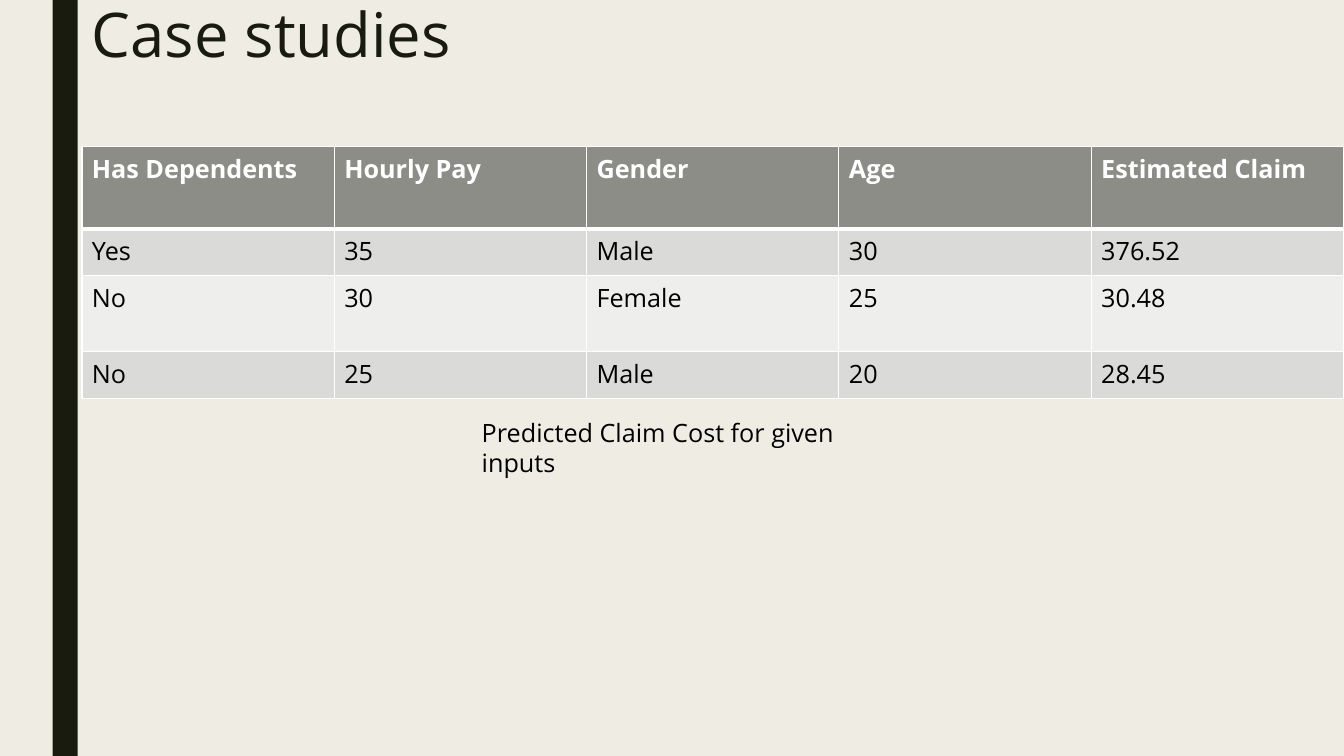
from dataclasses import dataclass

from lxml import etree
from pptx import Presentation
from pptx import util as u
from pptx.dml.color import RGBColor
from pptx.enum import shapes, text
from pptx.oxml import ns

Pt = u.Pt
FONT = "Open Sans"
COLORS = {
    "background": "EFEDE3", "dark": "191B0E", "white": "FFFFFF", "black": "000000",
    "header": "8C8D86", "odd_row": "DADBD9", "even_row": "EEEEED",
}


@dataclass
class Label:
    """A text box, in points."""
    words: str
    left: float
    top: float
    width: float
    height: float
    size: float
    color: str
    spacing: float = 1.0


@dataclass
class Row:
    """A table row with its height in points and its look."""
    values: tuple[str, ...]
    height: float
    fill: str
    color: str = "black"
    bold: bool = False
    top_line: float = 1
    bottom_line: float = 1


LABELS = [
    Label("Case studies", 58.5, 0, 828, 104.5, 44, "dark", 0.89),
    Label("Predicted Claim Cost for given inputs", 337, 294.5, 286, 29, 18, "black"),
]
CLAIMS = [
    Row(("Has Dependents", "Hourly Pay", "Gender", "Age", "Estimated Claim"),
        59, "header", "white", True, bottom_line=3),
    Row(("Yes", "35", "Male", "30", "376.52"), 33.5, "odd_row", top_line=3),
    Row(("No", "30", "Female", "25", "30.48"), 54, "even_row"),
    Row(("No", "25", "Male", "20", "28.45"), 33.5, "odd_row"),
]
TABLE_LEFT, TABLE_TOP, COLUMN_WIDTH = 58.5, 104.5, 180.25


def rgb(name: str) -> RGBColor:
    """Look up a named colour."""
    return RGBColor.from_string(COLORS[name])


def write(tf, words: str, size: float, color: str, bold: bool = False):
    """Put one styled paragraph in a text frame and return it."""
    p = tf.paragraphs[0]
    p.text = words
    p.font.name, p.font.size, p.font.bold = FONT, Pt(size), bold
    p.font.color.rgb = rgb(color)
    return p


def add_label(s, label: Label) -> None:
    """Draw a wrapped, top-anchored text box."""
    box = s.shapes.add_textbox(Pt(label.left), Pt(label.top), Pt(label.width), Pt(label.height))
    tf = box.text_frame
    tf.word_wrap = True
    tf.vertical_anchor = text.MSO_ANCHOR.TOP
    write(tf, label.words, label.size, label.color).line_spacing = label.spacing


def add_borders(cell, row: Row) -> None:
    """Give a cell white borders on all sides."""
    tc_pr = cell._tc.get_or_add_tcPr()
    for side, width in (("L", 1), ("R", 1), ("T", row.top_line), ("B", row.bottom_line)):
        ln = etree.SubElement(tc_pr, ns.qn(f"a:ln{side}"), w=str(Pt(width)))
        fill = etree.SubElement(ln, ns.qn("a:solidFill"))
        etree.SubElement(fill, ns.qn("a:srgbClr"), val=COLORS["white"])


def add_claims_table(s, rows: list[Row]) -> None:
    """Draw the case table with equal columns."""
    count = len(rows[0].values)
    table = s.shapes.add_table(len(rows), count, Pt(TABLE_LEFT), Pt(TABLE_TOP),
                               Pt(COLUMN_WIDTH * count), Pt(sum(r.height for r in rows))).table
    for column in table.columns:
        column.width = Pt(COLUMN_WIDTH)
    for i, row in enumerate(rows):
        table.rows[i].height = Pt(row.height)
        for cell, value in zip(table.rows[i].cells, row.values):
            add_borders(cell, row)
            cell.fill.solid()
            cell.fill.fore_color.rgb = rgb(row.fill)
            write(cell.text_frame, value, 18, row.color, row.bold)


def add_side_bar(s) -> None:
    """Draw the dark bar along the left side."""
    sp = s.shapes.add_shape(shapes.MSO_SHAPE.RECTANGLE, Pt(37.5), 0, Pt(18), Pt(540))
    sp.shadow.inherit = False
    sp.fill.solid()
    sp.fill.fore_color.rgb = rgb("dark")
    sp.line.fill.background()


prs = Presentation()
prs.slide_width, prs.slide_height = Pt(960), Pt(540)
s = prs.slides.add_slide(prs.slide_layouts[6])
s.background.fill.solid()
s.background.fill.fore_color.rgb = rgb("background")
add_side_bar(s)
add_claims_table(s, CLAIMS)
for label in LABELS:
    add_label(s, label)
prs.save("out.pptx")
